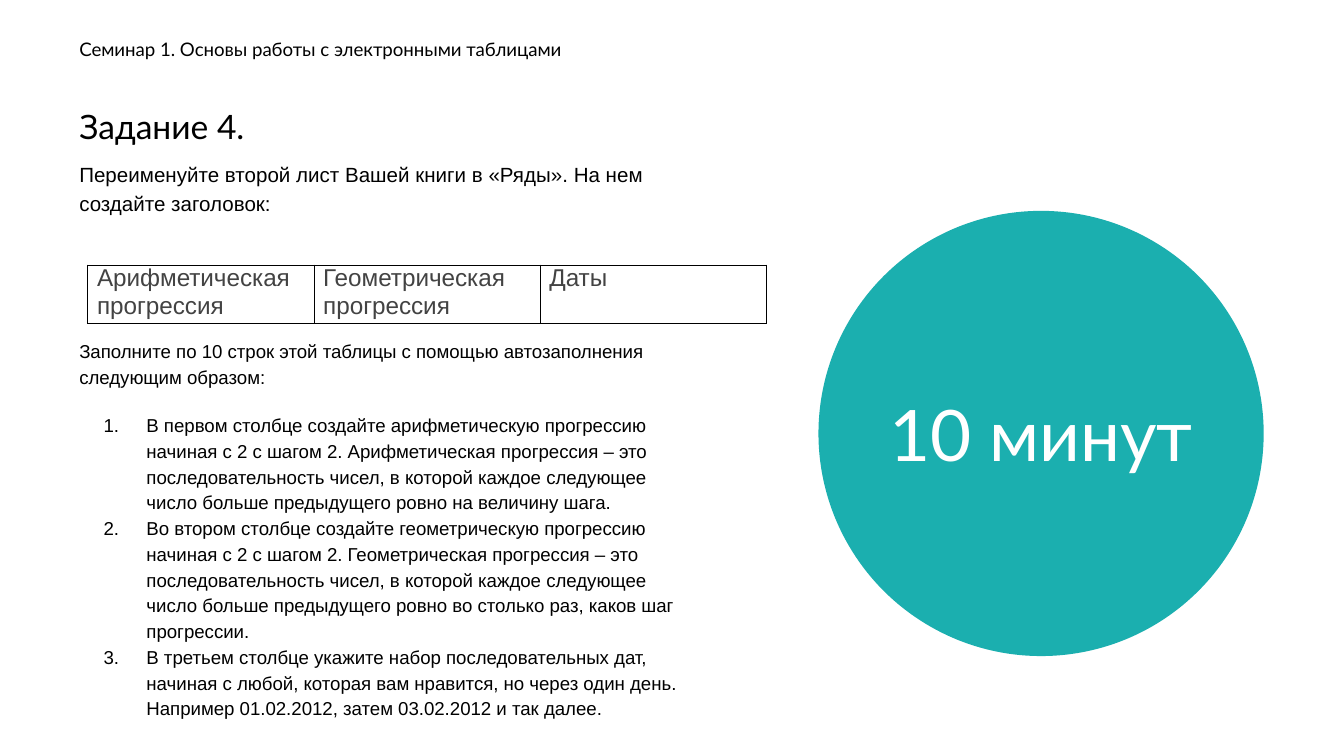
from pptx import Presentation
from pptx.dml.color import RGBColor
from pptx.enum.shapes import MSO_SHAPE
from pptx.enum.text import MSO_ANCHOR, PP_ALIGN
from pptx.oxml.ns import qn
from pptx.util import Pt
from lxml import etree

OVAL = MSO_SHAPE.OVAL
TOP, MIDDLE = MSO_ANCHOR.TOP, MSO_ANCHOR.MIDDLE
LEFT, CENTER = PP_ALIGN.LEFT, PP_ALIGN.CENTER
COLORS = {"text": "000000", "cell": "434343", "accent": "1BAFAF", "white": "FFFFFF"}
HEADERS = ["Арифметическая прогрессия", "Геометрическая прогрессия", "Даты"]
INTRO = "Переименуйте второй лист Вашей книги в «Ряды». На нем создайте заголовок:"
INSTRUCTION = "Заполните по 10 строк этой таблицы с помощью автозаполнения следующим образом:"
STEPS = [
    "В первом столбце создайте арифметическую прогрессию начиная с 2 с шагом 2. "
    "Арифметическая прогрессия – это последовательность чисел, в которой каждое "
    "следующее число больше предыдущего ровно на величину шага.",
    "Во втором столбце создайте геометрическую прогрессию начиная с 2 с шагом 2. "
    "Геометрическая прогрессия – это последовательность чисел, в которой каждое "
    "следующее число больше предыдущего ровно во столько раз, каков шаг прогрессии.",
    "В третьем столбце укажите набор последовательных дат, начиная с любой, которая "
    "вам нравится, но через один день. Например 01.02.2012, затем 03.02.2012 и так далее.",
]


class SlideBuilder:
    """Holds the style and the current slide, and adds each kind of element."""

    def __init__(self, slide, heading_font="Lato", body_font="Arial"):
        self.slide = slide
        self.heading_font = heading_font
        self.body_font = body_font

    def color(self, name):
        return RGBColor.from_string(COLORS[name])

    def frame(self, frame, anchor=TOP):
        frame.word_wrap = True
        frame.vertical_anchor = anchor
        frame.margin_left = frame.margin_right = 0
        frame.margin_top = frame.margin_bottom = 0
        return frame

    def span(self, para, text, size, font, color="text"):
        span = para.add_run()
        span.text = text
        span.font.size = Pt(size)
        span.font.name = font
        span.font.color.rgb = self.color(color)

    def heading(self, left, top, width, height, text, size, anchor=TOP):
        box = self.slide.shapes.add_textbox(Pt(left), Pt(top), Pt(width), Pt(height))
        para = self.frame(box.text_frame, anchor).paragraphs[0]
        self.span(para, text, size, self.heading_font)

    def body(self, left, top, width, height, items):
        box = self.slide.shapes.add_textbox(Pt(left), Pt(top), Pt(width), Pt(height))
        frame = self.frame(box.text_frame)
        for index, (text, size, before, numbered) in enumerate(items):
            para = frame.add_paragraph() if index else frame.paragraphs[0]
            para.line_spacing = 1.15
            para.space_before = Pt(before)
            self.span(para, text, size, self.body_font)
            if numbered:
                self.number(para)

    def number(self, para):
        properties = para._p.get_or_add_pPr()
        properties.set("marL", str(Pt(36)))
        properties.set("indent", str(Pt(-23)))
        etree.SubElement(properties, qn("a:buFont"), typeface=self.body_font)
        etree.SubElement(properties, qn("a:buAutoNum"), type="arabicPeriod")

    def circle(self, left, top, size, text, text_size):
        shape = self.slide.shapes.add_shape(OVAL, Pt(left), Pt(top), Pt(size), Pt(size))
        shape.shadow.inherit = False
        shape.fill.solid()
        shape.fill.fore_color.rgb = self.color("accent")
        shape.line.fill.background()
        para = self.frame(shape.text_frame, MIDDLE).paragraphs[0]
        para.alignment = CENTER
        self.span(para, text, text_size, self.heading_font, "white")

    def table(self, left, top, width, height, headers, size):
        table = self.slide.shapes.add_table(
            1, len(headers), Pt(left), Pt(top), Pt(width), Pt(height)).table
        table.first_row = table.horz_banding = False
        for cell, text in zip(table.rows[0].cells, headers):
            cell.margin_left = cell.margin_right = Pt(5)
            cell.margin_top = cell.margin_bottom = 0
            para = cell.text_frame.paragraphs[0]
            para.alignment = LEFT
            self.span(para, text, size, self.body_font, "cell")
            self.borders(cell)
            cell.fill.background()

    def borders(self, cell):
        properties = cell._tc.get_or_add_tcPr()
        for side in ("lnL", "lnR", "lnT", "lnB"):
            line = etree.SubElement(properties, qn(f"a:{side}"), w=str(Pt(0.5)))
            fill = etree.SubElement(line, qn("a:solidFill"))
            etree.SubElement(fill, qn("a:srgbClr"), val=COLORS["text"])


def main():
    deck = Presentation()
    deck.slide_width, deck.slide_height = Pt(720), Pt(405)
    page = SlideBuilder(deck.slides.add_slide(deck.slide_layouts[6]))
    page.heading(42.5, 12.5, 635, 28, "Семинар 1. Основы работы с электронными таблицами", 10, MIDDLE)
    page.heading(42.5, 57, 635, 28, "Задание 4.", 18)
    items = [(INTRO, 11, 0, False), (INSTRUCTION, 10, 65, False)]
    items += [(step, 10, 0 if index else 12, True) for index, step in enumerate(STEPS)]
    page.body(42.5, 85, 332, 255, items)
    page.table(47, 142, 363.6, 29, HEADERS, 13)
    page.circle(438.5, 113, 238.5, "10 минут", 38)
    deck.save("out.pptx")


if __name__ == "__main__":
    main()
